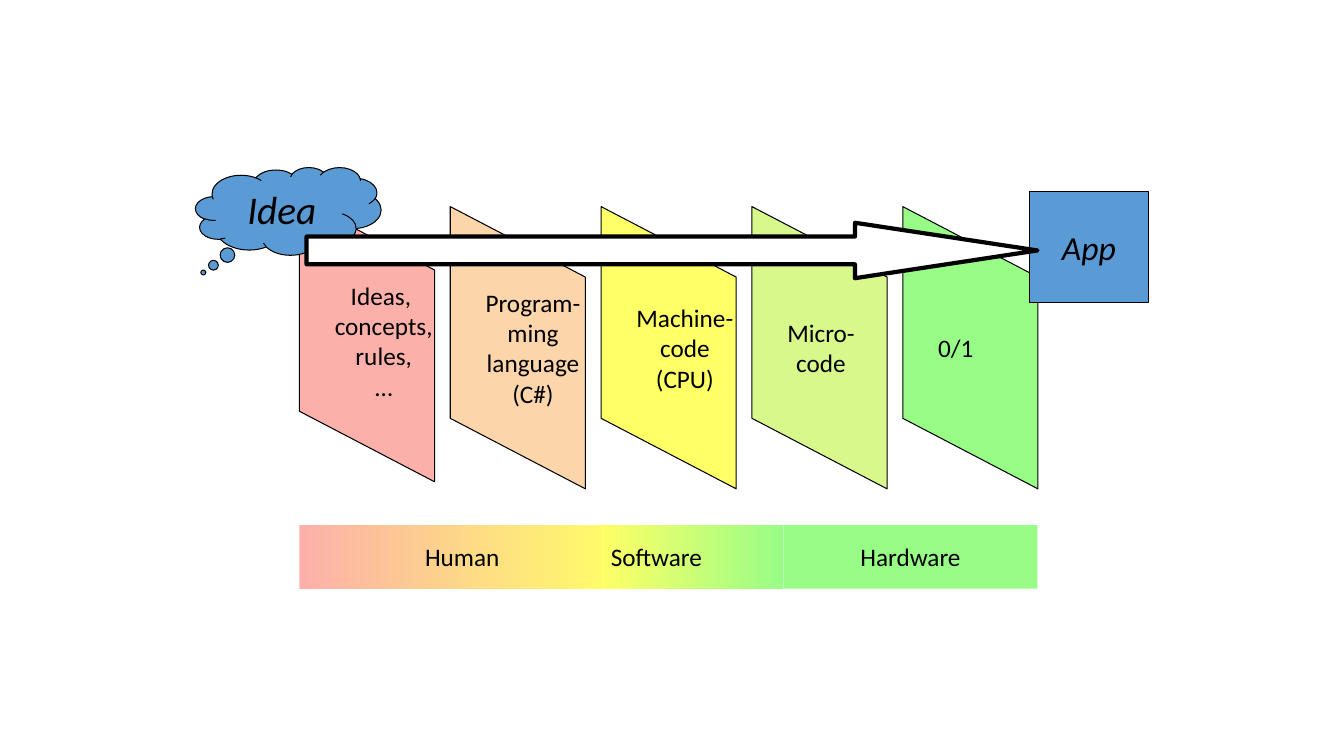
from pptx import Presentation
from pptx import util as u
from pptx.dml.color import RGBColor
from pptx.enum import shapes, text

deck = Presentation()
deck.slide_width = u.Inches(13.33)
deck.slide_height = u.Inches(7.5)
slide = deck.slides.add_slide(deck.slide_layouts[6])
kind = shapes.MSO_SHAPE


def paint(part, hue):
    part.rgb = RGBColor.from_string(hue)


def draw(form, left, top, width, height, hues, line=0, words="", size=18, slant=False):
    shape = slide.shapes.add_shape(form, *map(u.Inches, (left, top, width, height)))
    shape.shadow.inherit = False
    if len(hues) == 1:
        shape.fill.solid()
        paint(shape.fill.fore_color, hues[0])
    else:
        shape.fill.gradient()
        shape.fill.gradient_angle = 0
        for stop, hue in zip(shape.fill.gradient_stops, hues):
            paint(stop.color, hue)
            stop.position = hues.index(hue) / (len(hues) - 1)
    if line:
        paint(shape.line.color, "000000")
        shape.line.width = u.Pt(line)
    else:
        shape.line.fill.background()
    frame = shape.text_frame
    frame.text = words
    frame.word_wrap = False
    frame.vertical_anchor = text.MSO_ANCHOR.MIDDLE
    for para in frame.paragraphs:
        para.alignment = text.PP_ALIGN.CENTER
        for run in para.runs:
            run.font.name = "Calibri"
            run.font.size = u.Pt(size)
            run.font.italic = slant
            paint(run.font.color, "000000")
    return shape


RED, YELLOW, GREEN, BLUE = "FCB0AA", "FFFF66", "98FD87", "5B9BD5"
LEFT, STEP = 2.24, 1.496
LONG, SHORT = 2.8, 1.34

layers = [
    ("Ideas, \nconcepts,\nrules,\n…", RED, 2.71),
    ("Program-\nming\nlanguage\n(C#)", "FCD5AA", 2.78),
    ("Machine-\ncode\n(CPU)", YELLOW, 2.78),
    ("Micro-\ncode", "D9F88C", 2.78),
    ("0/1", GREEN, 2.78),
]
for col, (words, hue, top) in enumerate(layers):
    pane = draw(kind.PARALLELOGRAM, LEFT + col * STEP, top, LONG, SHORT, [hue], 0.75, words)
    pane.rotation = 90
    pane.adjustments[0] = 0.522
    body = pane.text_frame._txBody.bodyPr
    body.set("vert", "eaVert")
    body.set("rot", "10800000")

cloud = draw(kind.CLOUD_CALLOUT, 1.94, 1.66, 1.84, 0.87, [BLUE], 0.75, "Idea", 28, True)
cloud.adjustments[0] = -0.458
cloud.adjustments[1] = 0.7
cloud.text_frame.word_wrap = True
cloud.text_frame.vertical_anchor = text.MSO_ANCHOR.TOP

draw(kind.RECTANGLE, 10.21, 1.9, 1.18, 1.1, [BLUE], 0.75, "App", 24, True)

arrow = draw(kind.RIGHT_ARROW, 3.04, 2.21, 7.25, 0.55, ["FFFFFF"], 3)
arrow.adjustments[0] = 0.5
arrow.adjustments[1] = 3.292

bands = [
    ("Human", 2.97, 3.23, [RED, YELLOW], text.PP_ALIGN.CENTER),
    ("Software", 5.96, 1.81, [YELLOW, GREEN], text.PP_ALIGN.LEFT),
    ("Hardware", 7.77, 2.52, [GREEN], text.PP_ALIGN.CENTER),
]
for words, left, width, hues, align in bands:
    band = draw(kind.RECTANGLE, left, 5.21, width, 0.63, hues, words=words)
    band.text_frame.paragraphs[0].alignment = align

deck.save("out.pptx")
